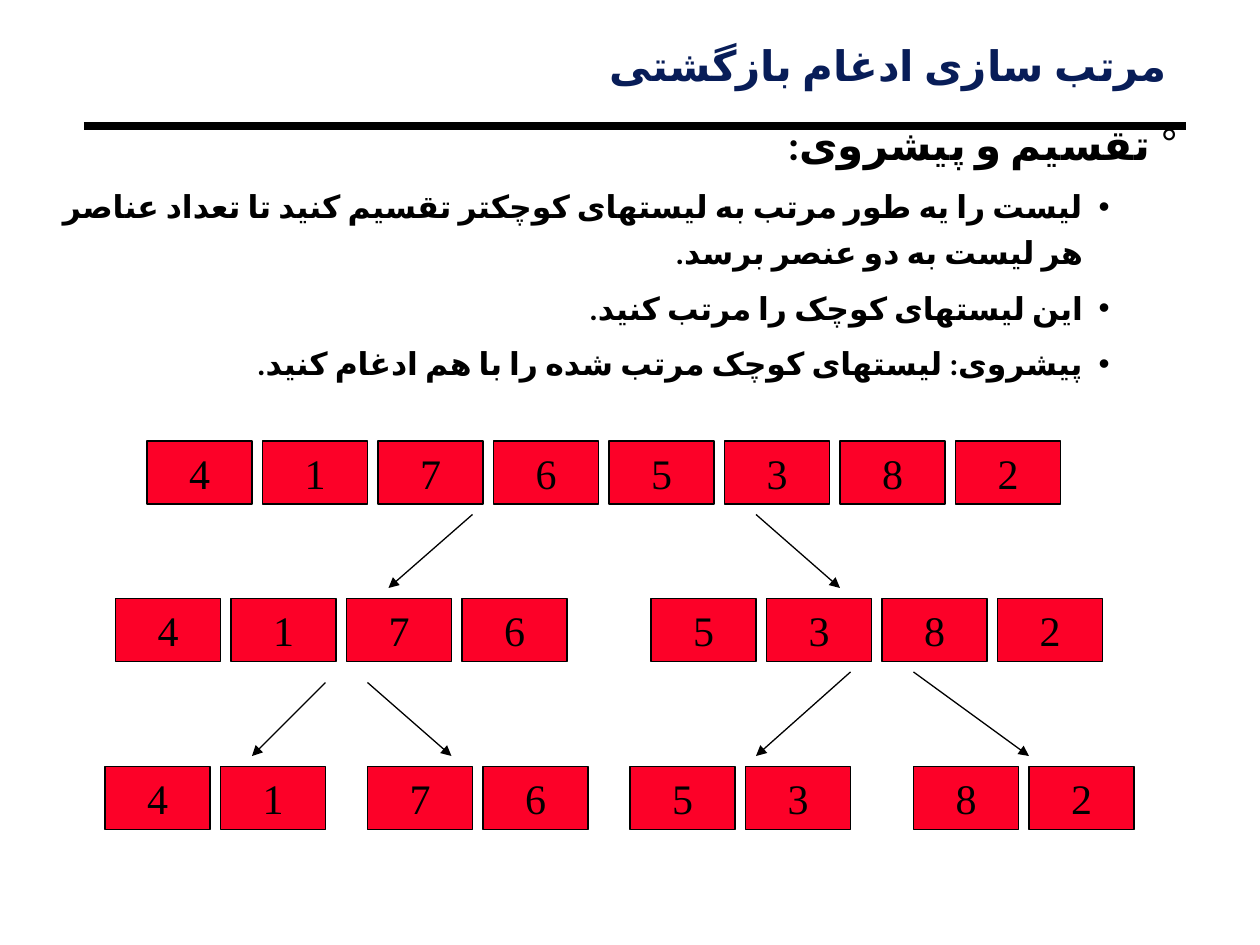
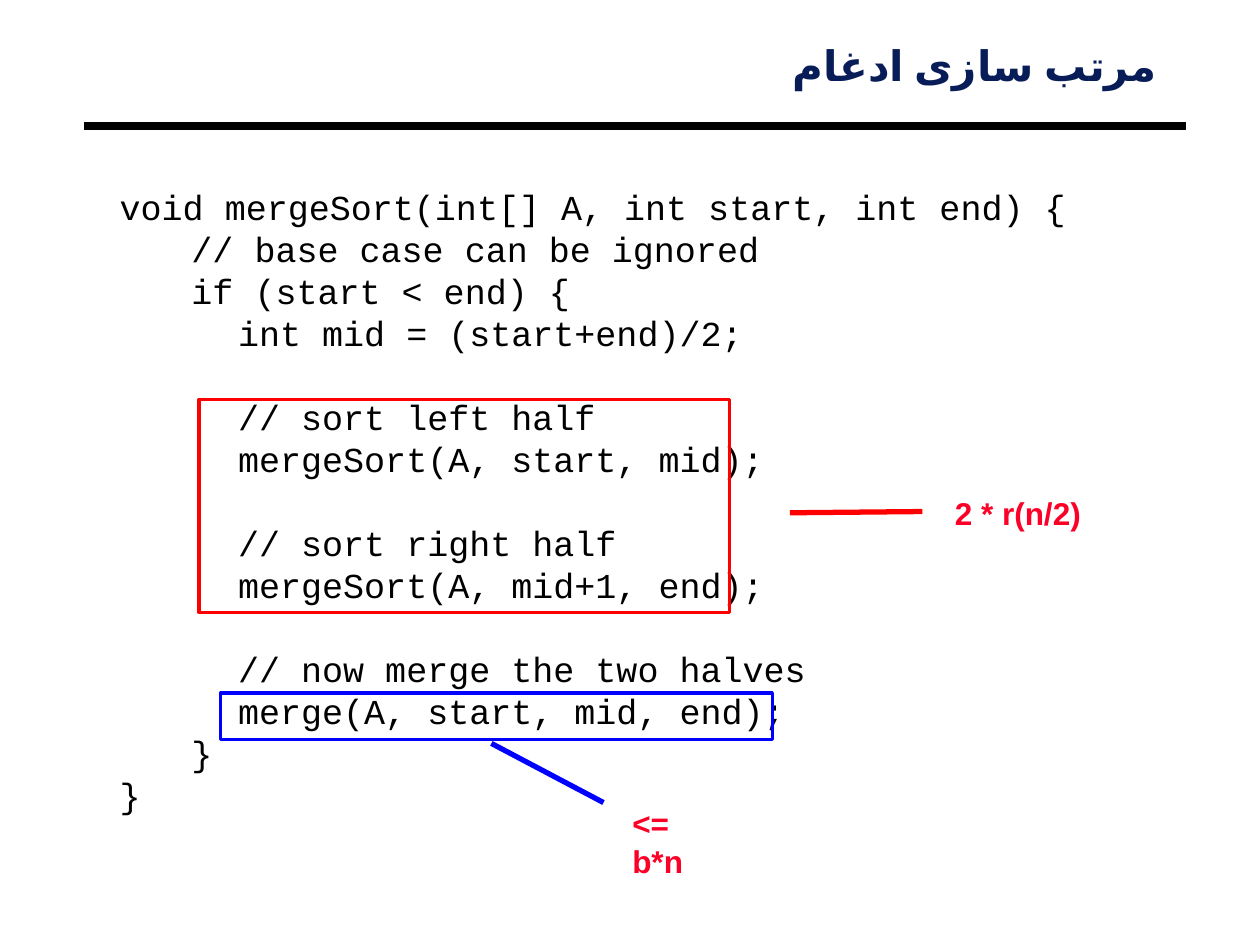
"""Build two slides on recursive merge sort: the splitting diagram and its code."""
import pptx
import pptx.dml.color
import pptx.enum.shapes
import pptx.enum.text
import pptx.oxml.ns
import pptx.util
from lxml import etree

Pt, Inches = pptx.util.Pt, pptx.util.Inches
RGB = pptx.dml.color.RGBColor
ALIGN = pptx.enum.text.PP_ALIGN
MIDDLE = pptx.enum.text.MSO_ANCHOR.MIDDLE
RECT = pptx.enum.shapes.MSO_SHAPE.RECTANGLE
STRAIGHT = pptx.enum.shapes.MSO_CONNECTOR.STRAIGHT
qn = pptx.oxml.ns.qn

BLACK = RGB(0x00, 0x00, 0x00)
NAVY = RGB(0x08, 0x1D, 0x58)
CRIMSON = RGB(0xFC, 0x01, 0x28)
RED = RGB(0xFF, 0x00, 0x00)
BLUE = RGB(0x00, 0x00, 0xFF)

TITLE = dict(name="Roboto", size=Pt(24), bold=True, color=NAVY)
HEADING = dict(name="Calibri", size=Pt(24), bold=True, color=BLACK)
POINT = {**HEADING, "size": Pt(18)}
DIGIT = dict(name="Times New Roman", size=Pt(24), color=BLACK)
CODE = dict(name="Courier New", size=Pt(20), color=BLACK)
COST = dict(name="Arial", size=Pt(18), bold=True, color=CRIMSON)

COL = ROW = Inches(1) // 12
CELL_W, CELL_H, CELL_STEP = 10, 6, 11

prs = pptx.Presentation()
prs.slide_width, prs.slide_height = Inches(10), Inches(7.5)


def add_line(s, ends, color, width, arrow=False):
    """Draw a straight line between two points, with an arrowhead if asked."""
    c = s.shapes.add_connector(STRAIGHT, *ends)
    c.line.color.rgb, c.line.width = color, Pt(width)
    if arrow:
        etree.SubElement(c.line._get_or_add_ln(), qn("a:tailEnd"), type="triangle")
    etree.SubElement(c._element.spPr, qn("a:effectLst"))


def add_par(tf, text, font, rtl=False, bullet=None, margin=0, indent=0, **fmt):
    """Write one paragraph into a text frame, in its first one if still empty."""
    p = tf.paragraphs[0] if not tf.text else tf.add_paragraph()
    pPr = p._p.get_or_add_pPr()
    pPr.set("marL", str(Inches(margin)))
    pPr.set("indent", str(Inches(indent)))
    if rtl:
        pPr.set("rtl", "1")
        fmt["alignment"] = ALIGN.RIGHT
    if bullet:
        etree.SubElement(pPr, qn("a:buFont"), typeface="Arial")
        etree.SubElement(pPr, qn("a:buChar"), char=bullet)
    for key, value in fmt.items():
        setattr(p, key, value)
    r = p.add_run()
    r.text = text
    for key, value in font.items():
        if key == "color":
            r.font.color.rgb = value
        else:
            setattr(r.font, key, value)
    if rtl:
        r._r.get_or_add_rPr().set("lang", "fa-IR")
        etree.SubElement(r._r.rPr, qn("a:cs"), typeface=font["name"])


slides = []
for title, right in (("مرتب سازی ادغام بازگشتی", 0.07), ("مرتب سازی ادغام", 0.15)):
    s = prs.slides.add_slide(prs.slide_layouts[6])
    add_line(s, (8 * COL, 12 * ROW, 113 * COL, 12 * ROW), BLACK, 4.5)
    tf = s.shapes.add_textbox(8 * COL, Inches(0.34), 104 * COL, 5 * ROW).text_frame
    for key, value in dict(left=0.07, top=0.03, right=right, bottom=0.03).items():
        setattr(tf, f"margin_{key}", Inches(value))
    tf.word_wrap = True
    add_par(tf, title, TITLE, rtl=True, line_spacing=0.87)
    slides.append(s)

s = slides[0]
tf = s.shapes.add_textbox(4 * COL, 10 * ROW, 109 * COL, 27 * ROW).text_frame
for key, value in dict(left=0.07, top=0.03, right=0.07, bottom=0.03).items():
    setattr(tf, f"margin_{key}", Inches(value))
tf.word_wrap = True
add_par(tf, "تقسیم و پیشروی:", HEADING, True, "°", 0.22, -0.22, line_spacing=1.2)
for point in (
    "لیست را یه طور مرتب به لیستهای کوچکتر تقسیم کنید تا تعداد عناصر هر لیست به دو عنصر برسد.",
    "این لیستهای کوچک را مرتب کنید.",
    "پیشروی: لیستهای کوچک مرتب شده را با هم ادغام کنید.",
):
    add_par(tf, point, POINT, True, "•", 0.75, -0.21, line_spacing=1.2, space_before=Pt(6))

for row, col, digits in (
    (42, 14, "41765382"),
    (57, 11, "4176"), (57, 62, "5382"),
    (73, 10, "41"), (73, 35, "76"), (73, 60, "53"), (73, 87, "82"),
):
    for i, digit in enumerate(digits):
        sp = s.shapes.add_shape(RECT, (col + i * CELL_STEP) * COL, row * ROW,
                                CELL_W * COL, CELL_H * ROW)
        sp.shadow.inherit = False
        sp.fill.solid()
        sp.fill.fore_color.rgb = CRIMSON
        sp.line.color.rgb, sp.line.width = BLACK, Pt(0.75)
        tf = sp.text_frame
        tf.word_wrap, tf.vertical_anchor = False, MIDDLE
        add_par(tf, digit, DIGIT, alignment=ALIGN.CENTER)

for x1, y1, x2, y2 in (
    (45, 49, 37, 56), (72, 49, 80, 56),
    (31, 65, 24, 72), (35, 65, 43, 72),
    (81, 64, 72, 72), (87, 64, 98, 72),
):
    add_line(s, (x1 * COL, y1 * ROW, x2 * COL, y2 * ROW), BLACK, 0.75, arrow=True)

s = slides[1]
tf = s.shapes.add_textbox(Inches(0.77), Inches(1.47), Inches(8.46), Inches(5.43)).text_frame
tf.margin_left = tf.margin_top = tf.margin_right = tf.margin_bottom = 0
tf.word_wrap = True
LEVELS = (0.18, 0.75, 1.12)
LINE = 24
for level, gap, code in (
    (0, 0, "void mergeSort(int[] A, int start, int end) {"),
    (1, 0, "// base case can be ignored"),
    (1, 0, "if (start < end) {"),
    (2, 0, "int mid = (start+end)/2;"),
    (2, 1, "// sort left half"),
    (2, 0, "mergeSort(A, start, mid);"),
    (2, 1, "// sort right half"),
    (2, 0, "mergeSort(A, mid+1, end);"),
    (2, 1, "// now merge the two halves"),
    (2, 0, "merge(A, start, mid, end);"),
    (1, 0, "}"),
    (0, 0, "}"),
):
    add_par(tf, code, CODE, margin=LEVELS[level], line_spacing=Pt(LINE),
            space_before=Pt(gap * LINE))

for color, frame, ends, label, place in (
    (RED, (1.58, 3.17, 4.21, 1.69), (7.32, 4.06, 6.27, 4.07), "2 * r(n/2)", (7.48, 3.87, 1.2, 0.4)),
    (BLUE, (1.75, 5.5, 4.38, 0.37), (4.79, 6.37, 3.9, 5.9), "<= b*n", (4.92, 6.33, 0.96, 0.4)),
):
    sp = s.shapes.add_shape(RECT, *map(Inches, frame))
    sp.shadow.inherit = False
    sp.fill.background()
    sp.line.color.rgb, sp.line.width = color, Pt(2)
    add_line(s, map(Inches, ends), color, 3)
    tf = s.shapes.add_textbox(*map(Inches, place)).text_frame
    tf.word_wrap = False
    add_par(tf, label, COST)

prs.save("out.pptx")
